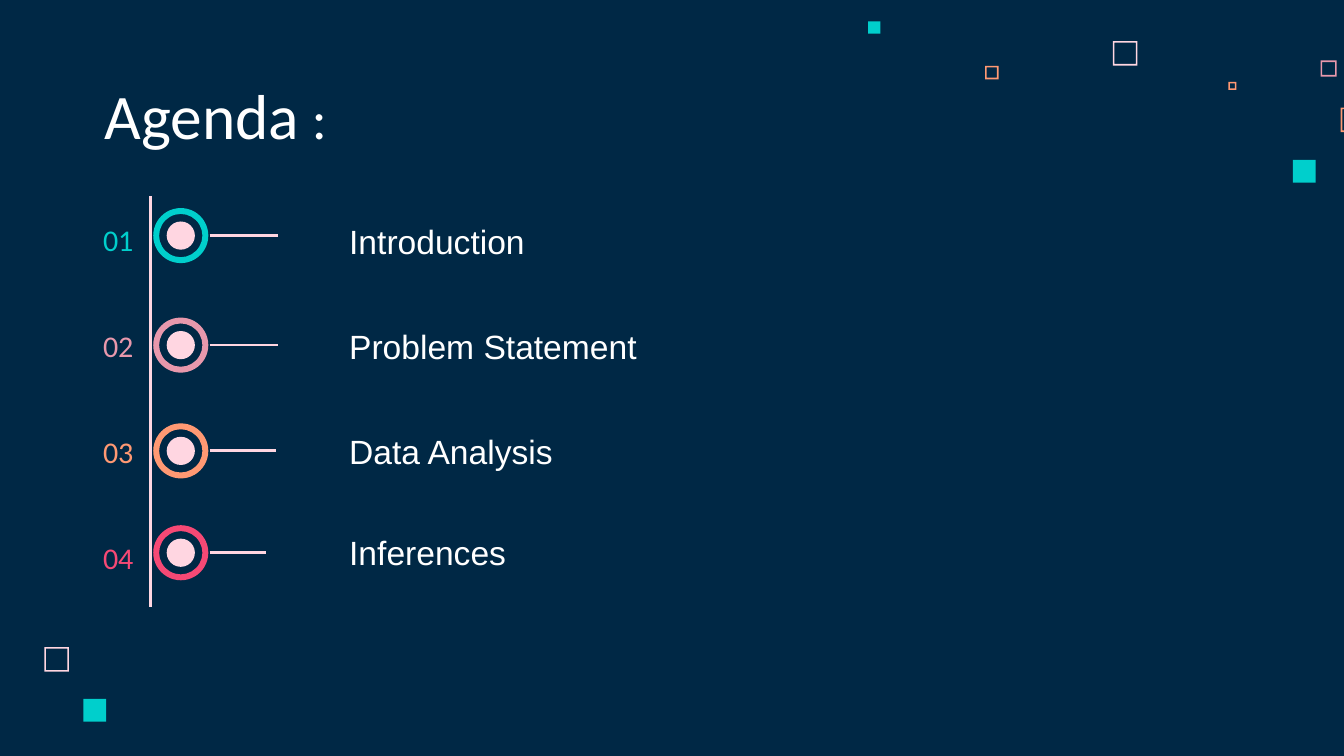
from dataclasses import dataclass

import pptx
import pptx.dml.color
import pptx.enum.shapes
import pptx.enum.text
import pptx.oxml.ns
import pptx.slide
import pptx.util
from lxml import etree

RGBColor = pptx.dml.color.RGBColor
Shapes = pptx.enum.shapes.MSO_SHAPE
Align = pptx.enum.text.PP_ALIGN
Anchor = pptx.enum.text.MSO_ANCHOR

NAVY = RGBColor(0x00, 0x28, 0x45)
WHITE = RGBColor(0xFF, 0xFF, 0xFF)
PALE_PINK = RGBColor(0xFF, 0xD6, 0xE1)
TEAL = RGBColor(0x00, 0xCF, 0xCC)
ROSE = RGBColor(0xE8, 0x98, 0xAC)
ORANGE = RGBColor(0xFF, 0x99, 0x73)
RED = RGBColor(0xF6, 0x49, 0x75)

# Grid of square cells: 100 columns by 56.25 rows
CELL = pptx.util.Inches(0.1)
COLUMNS, ROWS = 100, 56.25

MARKER_COLUMN = 13.45
NUMBER_COLUMN = 8.8
FIRST_NUMBER_ROW, NUMBER_PITCH = 17.85, 7.87
RING_SIZE, DOT_SIZE = 4.1, 2.1
BRANCH_START = 15.6


@dataclass
class Square:
    column: float
    row: float
    size: float
    color: RGBColor
    hollow: bool = True


@dataclass
class AgendaItem:
    label: str
    color: RGBColor
    marker_row: float
    label_row: float
    branch_end: float


SQUARES = [
    Square(82.8, 3.05, 1.83, PALE_PINK),
    Square(98.25, 4.5, 1.2, ROSE),
    Square(91.4, 6.1, 0.6, ORANGE),
    Square(99.75, 8, 1.83, ORANGE),
    Square(96.2, 11.9, 1.7, TEAL, hollow=False),
    Square(73.3, 4.9, 1, ORANGE),
    Square(64.6, 1.6, 0.9, TEAL, hollow=False),
    Square(3.3, 48.15, 1.83, PALE_PINK),
    Square(6.2, 52, 1.7, TEAL, hollow=False),
]

ITEMS = [
    AgendaItem("Introduction", TEAL, 17.53, 17.95, 20.7),
    AgendaItem("Problem Statement", ROSE, 25.68, 25.75, 20.7),
    AgendaItem("Data Analysis", ORANGE, 33.55, 33.55, 20.5),
    AgendaItem("Inferences", RED, 41.13, 41.05, 19.8),
]


def cells(count: float) -> int:
    return int(count * CELL)


def add_filled(slide: pptx.slide.Slide, kind: Shapes, column: float, row: float,
               size: float, color: RGBColor, thickness: float = 0) -> None:
    """Draw an unlined shape; thickness is the wall of a frame or ring in cells."""
    shape = slide.shapes.add_shape(kind, cells(column), cells(row), cells(size), cells(size))
    shape.shadow.inherit = False
    shape.fill.solid()
    shape.fill.fore_color.rgb = color
    shape.line.fill.background()
    if thickness:
        shape.adjustments[0] = thickness / size


def add_line(slide: pptx.slide.Slide, start: tuple[float, float],
             end: tuple[float, float]) -> None:
    line = slide.shapes.add_connector(
        pptx.enum.shapes.MSO_CONNECTOR.STRAIGHT, *map(cells, start + end))
    line.line.color.rgb = PALE_PINK
    line.line.width = pptx.util.Pt(1.5)
    etree.SubElement(line._element.spPr, pptx.oxml.ns.qn("a:effectLst"))


def format_text(shape, text: str, size: float, font: str, color: RGBColor,
                align: Align, anchor: Anchor) -> None:
    frame = shape.text_frame
    frame.text = text
    frame.word_wrap = True
    frame.auto_size = pptx.enum.text.MSO_AUTO_SIZE.NONE
    frame.vertical_anchor = anchor
    frame.margin_left = frame.margin_right = frame.margin_top = frame.margin_bottom = CELL
    paragraph = frame.paragraphs[0]
    paragraph.alignment = align
    for run in paragraph.runs:
        run.font.size = pptx.util.Pt(size)
        run.font.name = font
        run.font.color.rgb = color


def add_label(slide: pptx.slide.Slide, text: str, column: float, middle: float,
              width: float, height: float, size: float, font: str,
              color: RGBColor, align: Align) -> None:
    box = slide.shapes.add_textbox(
        cells(column), cells(middle - height / 2), cells(width), cells(height))
    format_text(box, text, size, font, color, align, Anchor.MIDDLE)


def add_title(slide: pptx.slide.Slide) -> None:
    title = slide.shapes.title
    title.left, title.top = cells(6.8), cells(4.5)
    title.width, title.height = cells(51.7), cells(7.8)
    format_text(title, "Agenda", 34, "Calibri", WHITE, Align.LEFT, Anchor.BOTTOM)
    colon = title.text_frame.paragraphs[0].add_run()
    colon.text = " :"
    colon.font.size = pptx.util.Pt(30)
    colon.font.name = "Calibri"
    colon.font.color.rgb = WHITE


def add_item(slide: pptx.slide.Slide, index: int, item: AgendaItem) -> None:
    add_line(slide, (BRANCH_START, item.marker_row), (item.branch_end, item.marker_row))
    for kind, size, color, thickness in (
            (Shapes.OVAL, DOT_SIZE, PALE_PINK, 0),
            (Shapes.DONUT, RING_SIZE, item.color, 0.44)):
        add_filled(slide, kind, MARKER_COLUMN - size / 2, item.marker_row - size / 2,
                   size, color, thickness)
    add_label(slide, f"{index + 1:02}", NUMBER_COLUMN - 4.8,
              FIRST_NUMBER_ROW + index * NUMBER_PITCH, 9.6, 4.7,
              16.1, "Calibri", item.color, Align.CENTER)
    add_label(slide, item.label, 25, item.label_row, 45, 7.1,
              18, "Arial", WHITE, Align.LEFT)


def main() -> None:
    presentation = pptx.Presentation()
    presentation.slide_width = cells(COLUMNS)
    presentation.slide_height = cells(ROWS)
    slide = presentation.slides.add_slide(presentation.slide_layouts.get_by_name("Title Only"))
    slide.background.fill.solid()
    slide.background.fill.fore_color.rgb = NAVY

    # Scattered squares
    for square in SQUARES:
        kind = Shapes.FRAME if square.hollow else Shapes.RECTANGLE
        add_filled(slide, kind, square.column, square.row, square.size, square.color,
                   0.12 if square.hollow else 0)

    # Title, timeline and agenda items
    add_title(slide)
    add_line(slide, (11.2, 14.6), (11.2, 45.2))
    for index, item in enumerate(ITEMS):
        add_item(slide, index, item)

    presentation.save("out.pptx")


if __name__ == "__main__":
    main()
